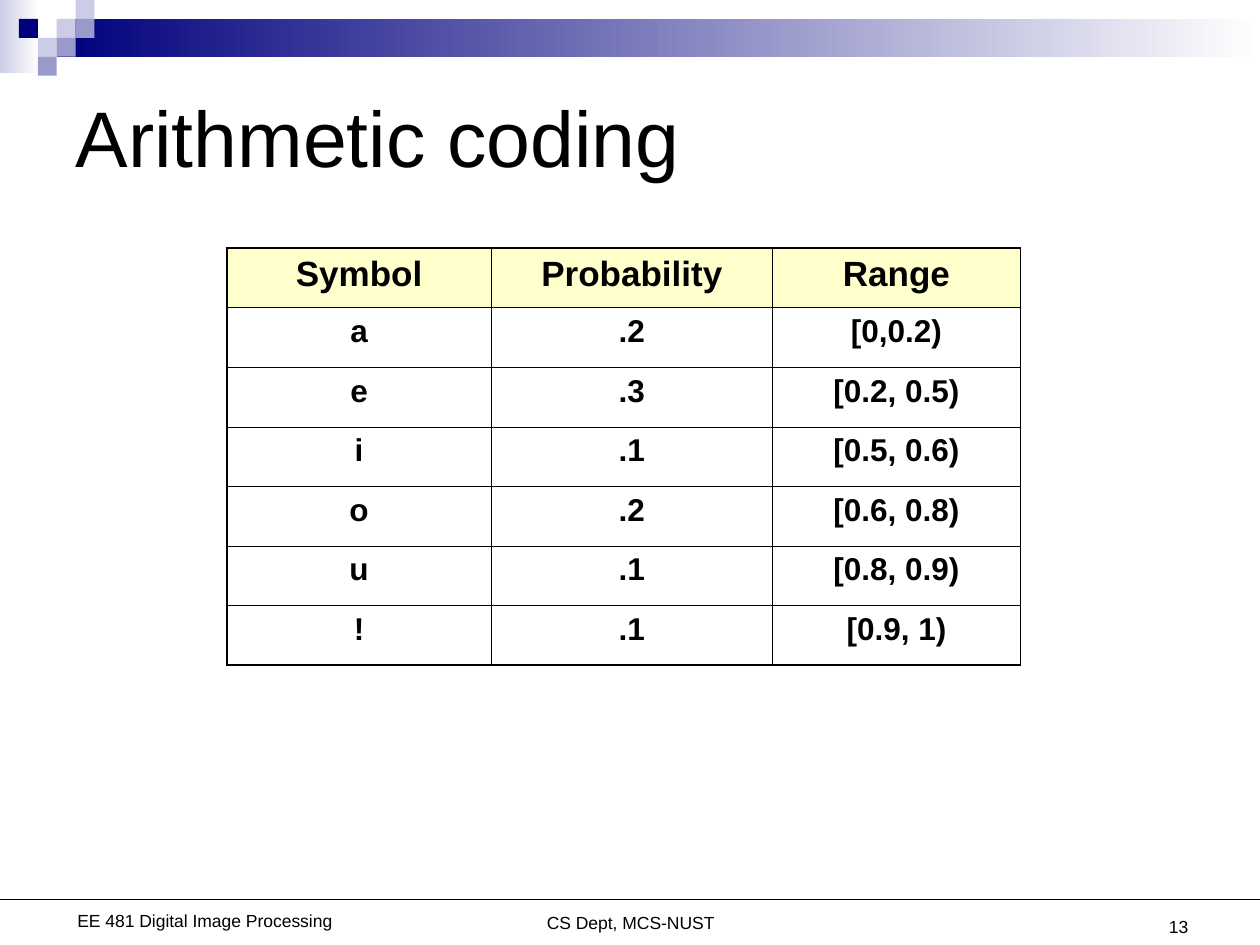
from lxml.etree import SubElement
from pptx import Presentation
from pptx.dml.color import RGBColor
from pptx.enum.shapes import MSO_CONNECTOR, MSO_SHAPE
from pptx.enum.text import MSO_ANCHOR, PP_ALIGN
from pptx.oxml.ns import qn
from pptx.util import Inches, Pt

TITLE = "Arithmetic coding"
ROWS = [
    ("Symbol", "Probability", "Range"),
    ("a", ".2", "[0,0.2)"),
    ("e", ".3", "[0.2, 0.5)"),
    ("i", ".1", "[0.5, 0.6)"),
    ("o", ".2", "[0.6, 0.8)"),
    ("u", ".1", "[0.8, 0.9)"),
    ("!", ".1", "[0.9, 1)"),
]
COLUMN_WIDTHS = (2.1, 2.23, 1.97)
TABLE_LEFT, TABLE_TOP, TABLE_HEIGHT = 1.8, 1.97, 3.31
FOOTERS = [
    ("CS Dept, MCS-NUST", (2.92, 7.19, 4.17, 0.26), PP_ALIGN.CENTER),
    ("EE 481 Digital Image Processing", (0.35, 7.17, 2.55, 0.26), PP_ALIGN.CENTER),
    ("13", (7.2, 7.22, 2.33, 0.26), PP_ALIGN.RIGHT),
]
FOOTER_RULE_TOP = 7.14
THEME = {
    "font": "Arial",
    "text": "000000",
    "navy": "00007D",
    "medium": "9999CC",
    "light": "CCCCE6",
    "white": "FFFFFF",
    "header": "FFFFCC",
    "title_size": 45,
    "header_size": 20,
    "body_size": 18,
    "footer_size": 10,
    "outer_line": 1.08,
    "inner_line": 0.45,
}
BANDS = [
    ((0, 0, 0.31, 0.58), "light"),
    ((0.45, 0.15, 9.55, 0.3), "navy"),
]
SQUARE = 0.15
SQUARES = [
    (3, 1, "light"),
    (4, 0, "light"),
    (4, 1, "medium"),
    (2, 2, "light"),
    (1, 1, "navy"),
    (3, 2, "medium"),
    (2, 3, "medium"),
]


def color(name):
    return RGBColor.from_string(THEME[name])


def write(paragraph, text, size, alignment, bold=False):
    paragraph.alignment = alignment
    run = paragraph.add_run()
    run.text = text
    run.font.name = THEME["font"]
    run.font.size = Pt(size)
    run.font.bold = bold
    run.font.color.rgb = color("text")


def add_rectangle(slide, box):
    shape = slide.shapes.add_shape(MSO_SHAPE.RECTANGLE, *map(Inches, box))
    shape.shadow.inherit = False
    shape.line.fill.background()
    return shape


def add_header(slide):
    for box, name in BANDS:
        fill = add_rectangle(slide, box).fill
        fill.gradient()
        fill.gradient_angle = 0
        for stop, stop_color in zip(fill.gradient_stops, (name, "white")):
            stop.color.rgb = color(stop_color)
    for column, row, name in SQUARES:
        fill = add_rectangle(slide, (column * SQUARE, row * SQUARE, SQUARE, SQUARE)).fill
        fill.solid()
        fill.fore_color.rgb = color(name)


def add_footer(slide):
    for text, box, alignment in FOOTERS:
        frame = slide.shapes.add_textbox(*map(Inches, box)).text_frame
        frame.word_wrap = True
        write(frame.paragraphs[0], text, THEME["footer_size"], alignment)
    top = Inches(FOOTER_RULE_TOP)
    rule = slide.shapes.add_connector(MSO_CONNECTOR.STRAIGHT, 0, top, Inches(10), top)
    rule.line.color.rgb = color("text")
    rule.line.width = Pt(0.75)
    SubElement(rule._element.spPr, qn("a:effectLst"))


def add_title(slide):
    title = slide.shapes.title
    title.left, title.top, title.width, title.height = map(Inches, (0.5, 0.33, 9, 1.5))
    title.text_frame.vertical_anchor = MSO_ANCHOR.MIDDLE
    write(title.text_frame.paragraphs[0], TITLE, THEME["title_size"], PP_ALIGN.LEFT)


def set_borders(cell, outer_edges):
    properties = cell._tc.get_or_add_tcPr()
    for edge, is_outer in zip("LRTB", outer_edges):
        width = THEME["outer_line" if is_outer else "inner_line"]
        line = SubElement(properties, qn(f"a:ln{edge}"), w=str(Pt(width)))
        SubElement(SubElement(line, qn("a:solidFill")), qn("a:srgbClr"), val=THEME["text"])


def add_probability_table(slide):
    box = (TABLE_LEFT, TABLE_TOP, sum(COLUMN_WIDTHS), TABLE_HEIGHT)
    table = slide.shapes.add_table(len(ROWS), len(COLUMN_WIDTHS), *map(Inches, box)).table
    table.first_row = table.horz_banding = False
    for column, width in zip(table.columns, COLUMN_WIDTHS):
        column.width = Inches(width)
    last_row, last_column = len(ROWS) - 1, len(COLUMN_WIDTHS) - 1
    for r, values in enumerate(ROWS):
        table.rows[r].height = Inches(TABLE_HEIGHT / len(ROWS))
        size = THEME["body_size" if r else "header_size"]
        for c, text in enumerate(values):
            cell = table.cell(r, c)
            set_borders(cell, (c == 0, c == last_column, r == 0, r == last_row))
            if r:
                cell.fill.background()
            else:
                cell.fill.solid()
                cell.fill.fore_color.rgb = color("header")
            write(cell.text_frame.paragraphs[0], text, size, PP_ALIGN.CENTER, bold=True)


def main():
    presentation = Presentation()
    presentation.slide_width, presentation.slide_height = Inches(10), Inches(7.5)
    slide = presentation.slides.add_slide(presentation.slide_layouts[5])
    add_header(slide)
    add_footer(slide)
    add_title(slide)
    add_probability_table(slide)
    presentation.save("out.pptx")


if __name__ == "__main__":
    main()
